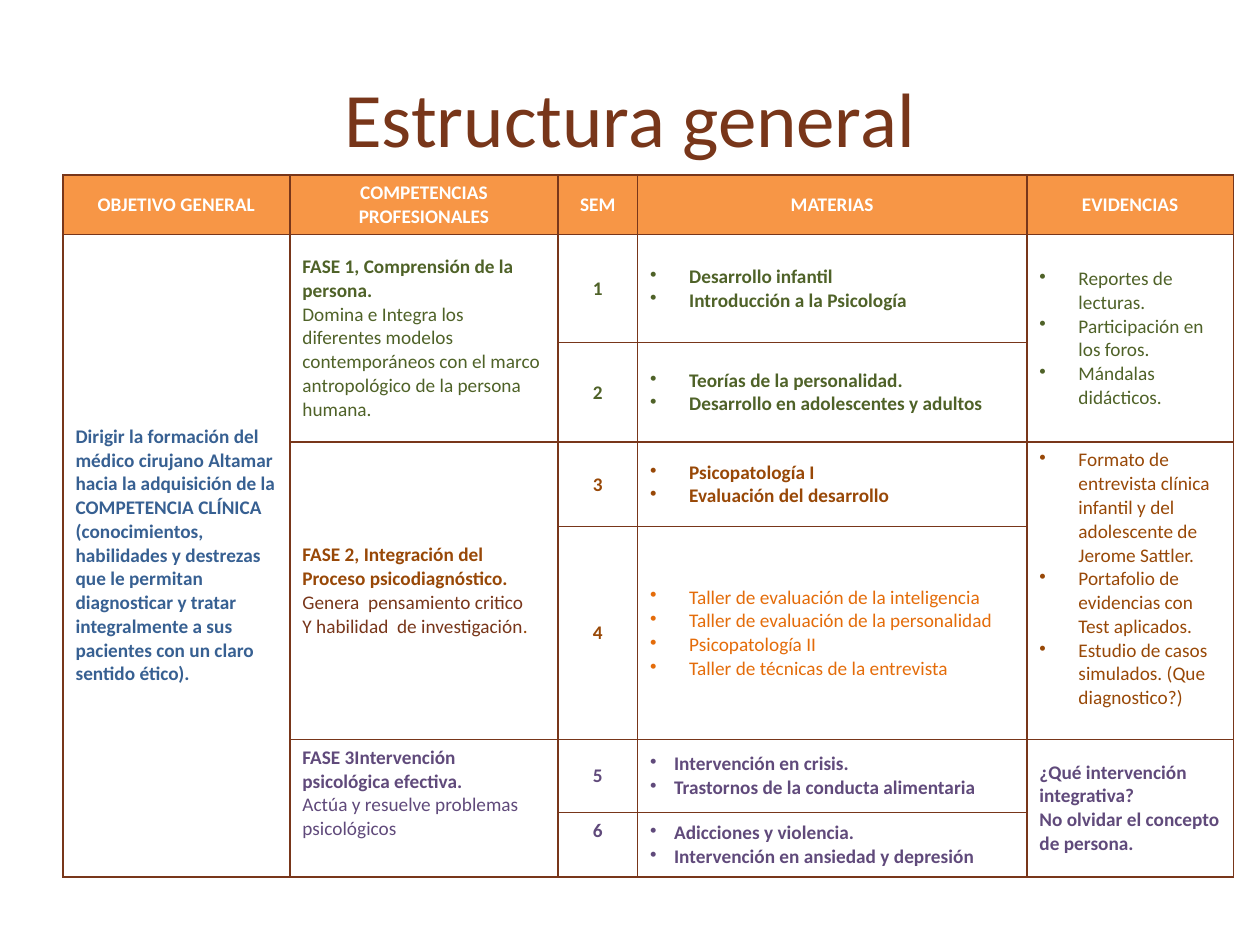
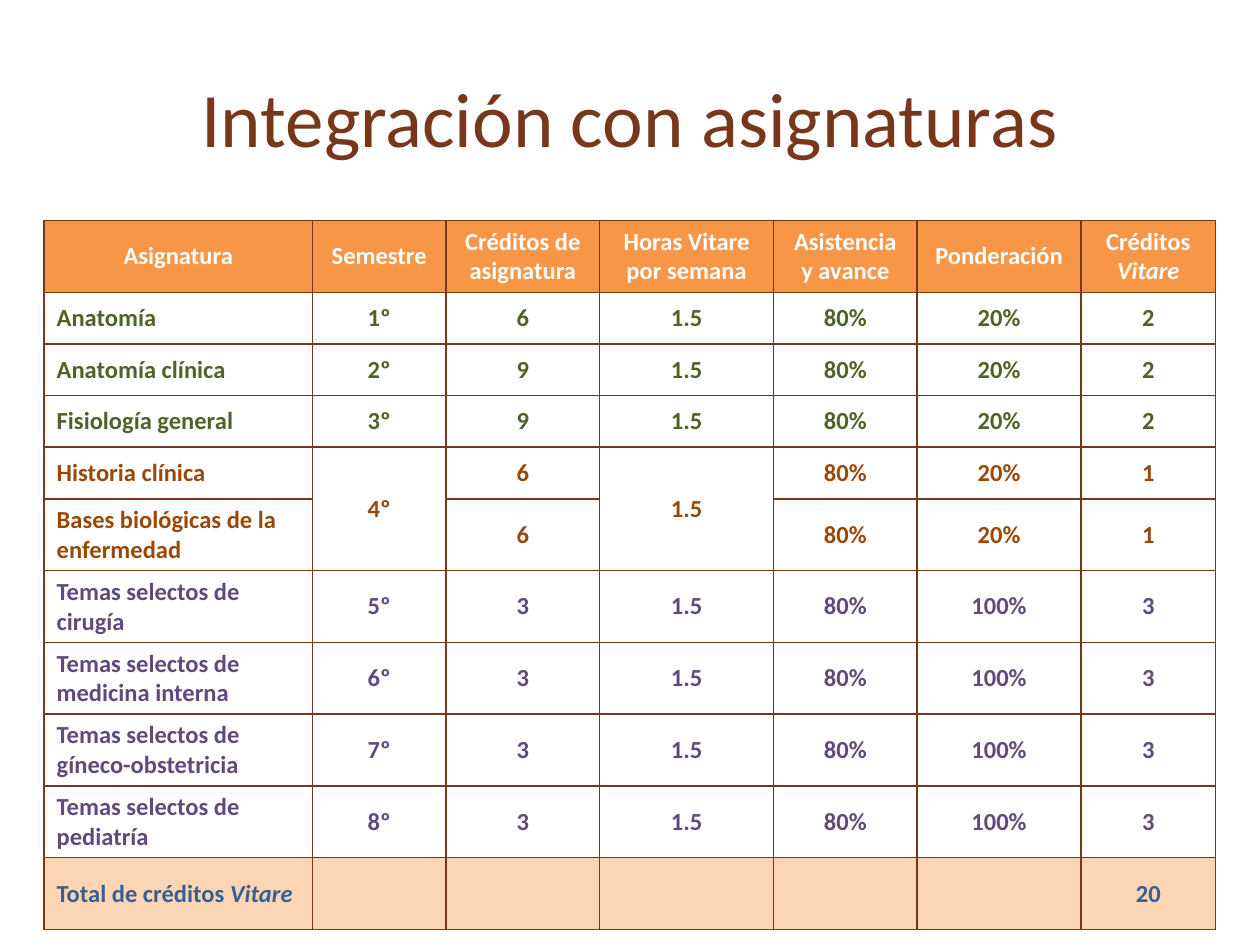
from pptx import Presentation
from pptx.dml.color import RGBColor
from pptx.enum.text import MSO_ANCHOR, PP_ALIGN
from pptx.oxml.xmlchemy import OxmlElement
from pptx.util import Inches, Pt

# Shared look
FONT = "Calibri"
HUES = dict(brown="78361A", head="F79646", white="FFFFFF", total="FCD5B5",
            blue="376092", green="4F6228", rust="984807", orange="E46C0A",
            plum="604A7B")
WIDE, HIGH = 10, 7.5
MID, TOP = MSO_ANCHOR.MIDDLE, MSO_ANCHOR.TOP

# Slide 1: general structure
PLAN = dict(
    title="Estructura general", left=0.5, top=1.39,
    cols=[1.8, 2.13, 0.63, 3.09, 1.64],
    rows=[0.47, 0.86, 0.79, 0.67, 1.69, 0.58, 0.51])
PLAN_HEAD = ["OBJETIVO GENERAL", "COMPETENCIAS PROFESIONALES", "SEM",
             "MATERIAS", "EVIDENCIAS"]
GOAL = ("Dirigir la formación del médico cirujano Altamar hacia la adquisición "
        "de la COMPETENCIA CLÍNICA (conocimientos, habilidades y destrezas que "
        "le permitan\ndiagnosticar y tratar integralmente a sus pacientes con "
        "un claro sentido ético).")
SOFT = dict(bold=False)
EARTH = dict(bold=False, hue="brown")
PHASES = [
    dict(hue="green", indent=0.31, proof=dict(bold=False, indent=0.31),
         skill=["FASE 1, Comprensión de la persona.",
                [("Domina e Integra los diferentes modelos contemporáneos con "
                  "el marco antropológico de la persona humana.", SOFT)]],
         terms=[(["Desarrollo infantil", "Introducción a la Psicología"], {}),
                (["Teorías de la personalidad.",
                  "Desarrollo en adolescentes y adultos"], {})],
         proofs=["Reportes de lecturas.", "Participación en los foros.",
                 "Mándalas didácticos."]),
    dict(hue="rust", indent=0.31,
         proof=dict(bold=False, indent=0.31, anchor=TOP),
         skill=["FASE 2, Integración del Proceso psicodiagnóstico.",
                [("Genera  pensamiento critico", EARTH)],
                [("Y habilidad  de investigación", EARTH), (".", SOFT)]],
         terms=[(["Psicopatología I", "Evaluación del desarrollo"], {}),
                (["Taller de evaluación de la inteligencia",
                  "Taller de evaluación de la personalidad",
                  "Psicopatología II", "Taller de técnicas de la entrevista"],
                 dict(hue="orange", bold=False))],
         proofs=["Formato de entrevista clínica infantil y del adolescente de "
                 "Jerome Sattler.",
                 "Portafolio de evidencias con Test aplicados.",
                 "Estudio de casos simulados. (Que diagnostico?)"]),
    dict(hue="plum", indent=0.19, proof={}, place=TOP,
         skill=["FASE 3Intervención psicológica efectiva.",
                [("Actúa y resuelve problemas psicológicos", SOFT)]],
         terms=[(["Intervención en crisis.",
                  "Trastornos de la conducta alimentaria"], {}),
                (["Adicciones y violencia.",
                  "Intervención en ansiedad y depresión"], {})],
         proofs=["¿Qué intervención integrativa?",
                 "No olvidar el concepto de persona."]),
]

# Slide 2: credits by subject; None continues the cell above
SLANT = ("Vitare", dict(italic=True))
LINE, PAIR = 0.41, 0.57
LOAD = dict(
    title="Integración con asignaturas", left=0.35, top=1.75,
    cols=[2.13, 1.06, 1.22, 1.38, 1.14, 1.3, 1.07],
    rows=[PAIR] + [LINE] * 4 + [PAIR] * 6)
LOAD_HEAD = ["Asignatura", "Semestre", "Créditos de asignatura",
             "Horas Vitare por semana", "Asistencia y avance", "Ponderación",
             [("Créditos ", {}), SLANT]]
SUBJECTS = [
    ("green", "Anatomía", "1º", "6", "1.5", "80%", "20%", "2"),
    ("green", "Anatomía clínica", "2º", "9", "1.5", "80%", "20%", "2"),
    ("green", "Fisiología general", "3º", "9", "1.5", "80%", "20%", "2"),
    ("rust", "Historia clínica", "4º", "6", "1.5", "80%", "20%", "1"),
    ("rust", "Bases biológicas de la enfermedad", None, "6", None, "80%",
     "20%", "1"),
    ("plum", "Temas selectos de cirugía", "5º", "3", "1.5", "80%", "100%", "3"),
    ("plum", "Temas selectos de medicina interna", "6º", "3", "1.5", "80%",
     "100%", "3"),
    ("plum", "Temas selectos de gíneco-obstetricia", "7º", "3", "1.5", "80%",
     "100%", "3"),
    ("plum", "Temas selectos de pediatría", "8º", "3", "1.5", "80%", "100%",
     "3"),
    ("blue", [("Total de créditos ", {}), SLANT], "", "", "", "", "", "20"),
]


def tint(name):
    return RGBColor.from_string(HUES[name])


def style(font, size, hue, bold=False, italic=False):
    font.name, font.size = FONT, Pt(size)
    font.bold, font.italic = bold, italic
    font.color.rgb = tint(hue)


def bullet(para, indent):
    props = para._p.get_or_add_pPr()
    props.set("marL", str(Inches(indent)))
    props.set("indent", str(-Inches(indent)))
    mark = OxmlElement("a:buChar")
    mark.set("char", "•")
    props.append(mark)


def write(frame, paras, size=11, hue="brown", bold=True, center=False, indent=0):
    """Fill a frame; a paragraph is a string or a list of (text, format) runs."""
    frame.word_wrap = True
    for i, runs in enumerate(paras):
        para = frame.paragraphs[0] if i == 0 else frame.add_paragraph()
        para.alignment = PP_ALIGN.CENTER if center else PP_ALIGN.LEFT
        if indent:
            bullet(para, indent)
        for text, extra in [(runs, {})] if isinstance(runs, str) else runs:
            for j, part in enumerate(text.split("\n")):
                if j:
                    para.add_line_break()
                run = para.add_run()
                run.text = part
                style(run.font, **{**dict(size=size, hue=hue, bold=bold), **extra})


def edge(cell):
    """Draw the four cell borders, which must come before the fill."""
    props = cell._tc.get_or_add_tcPr()
    for n, side in enumerate(("lnL", "lnR", "lnT", "lnB")):
        line = OxmlElement("a:" + side)
        line.set("w", str(Pt(1)))
        fill, color = OxmlElement("a:solidFill"), OxmlElement("a:srgbClr")
        color.set("val", HUES["brown"])
        fill.append(color)
        line.append(fill)
        props.insert(n, line)


def put(cell, paras, anchor=MID, **look):
    cell.vertical_anchor = anchor
    write(cell.text_frame, paras, **look)


def page(deck, title, left, top, cols, rows):
    """Add a slide with its title and an empty ruled table."""
    slide = deck.slides.add_slide(deck.slide_layouts[6])
    box = slide.shapes.add_textbox(*map(Inches, (0.5, 0.3, WIDE - 1, 1.25)))
    box.text_frame.vertical_anchor = MID
    write(box.text_frame, [title], size=44, bold=False, center=True)
    grid = slide.shapes.add_table(
        len(rows), len(cols),
        *map(Inches, (left, top, sum(cols), sum(rows)))).table
    grid.first_row = grid.horz_banding = False
    for col, width in zip(grid.columns, cols):
        col.width = Inches(width)
    for r, (row, height) in enumerate(zip(grid.rows, rows)):
        row.height = Inches(height)
        for cell in row.cells:
            cell.fill.solid()
            cell.fill.fore_color.rgb = tint("white" if r else "head")
            edge(cell)
    return grid


def header(grid, names, size):
    for c, name in enumerate(names):
        put(grid.cell(0, c), [name], size=size, hue="white", center=True)


def structure(deck):
    grid = page(deck, **PLAN)
    header(grid, PLAN_HEAD, 11)
    grid.cell(1, 0).merge(grid.cell(6, 0))
    put(grid.cell(1, 0), [GOAL], hue="blue")
    for n, phase in enumerate(PHASES):
        first, hue = 1 + 2 * n, phase["hue"]
        place = phase.get("place", MID)
        for c in (1, 4):
            grid.cell(first, c).merge(grid.cell(first + 1, c))
        put(grid.cell(first, 1), phase["skill"], hue=hue, anchor=place)
        put(grid.cell(first, 4), phase["proofs"], hue=hue, **phase["proof"])
        for k, (names, extra) in enumerate(phase["terms"]):
            put(grid.cell(first + k, 2), [str(first + k)], hue=hue, center=True,
                anchor=place if k else MID)
            put(grid.cell(first + k, 3), names,
                **{"hue": hue, "indent": phase["indent"], **extra})


def credits(deck):
    grid = page(deck, **LOAD)
    header(grid, LOAD_HEAD, 14)
    for r, (hue, *values) in enumerate(SUBJECTS, 1):
        for c, value in enumerate(values):
            cell = grid.cell(r, c)
            if value is None:
                grid.cell(r - 1, c).merge(cell)
            elif value:
                put(cell, [value], size=14, hue=hue, center=c > 0)
            if r == len(SUBJECTS):
                cell.fill.fore_color.rgb = tint("total")


def main():
    deck = Presentation()
    deck.slide_width, deck.slide_height = Inches(WIDE), Inches(HIGH)
    structure(deck)
    credits(deck)
    deck.save("out.pptx")


if __name__ == "__main__":
    main()
